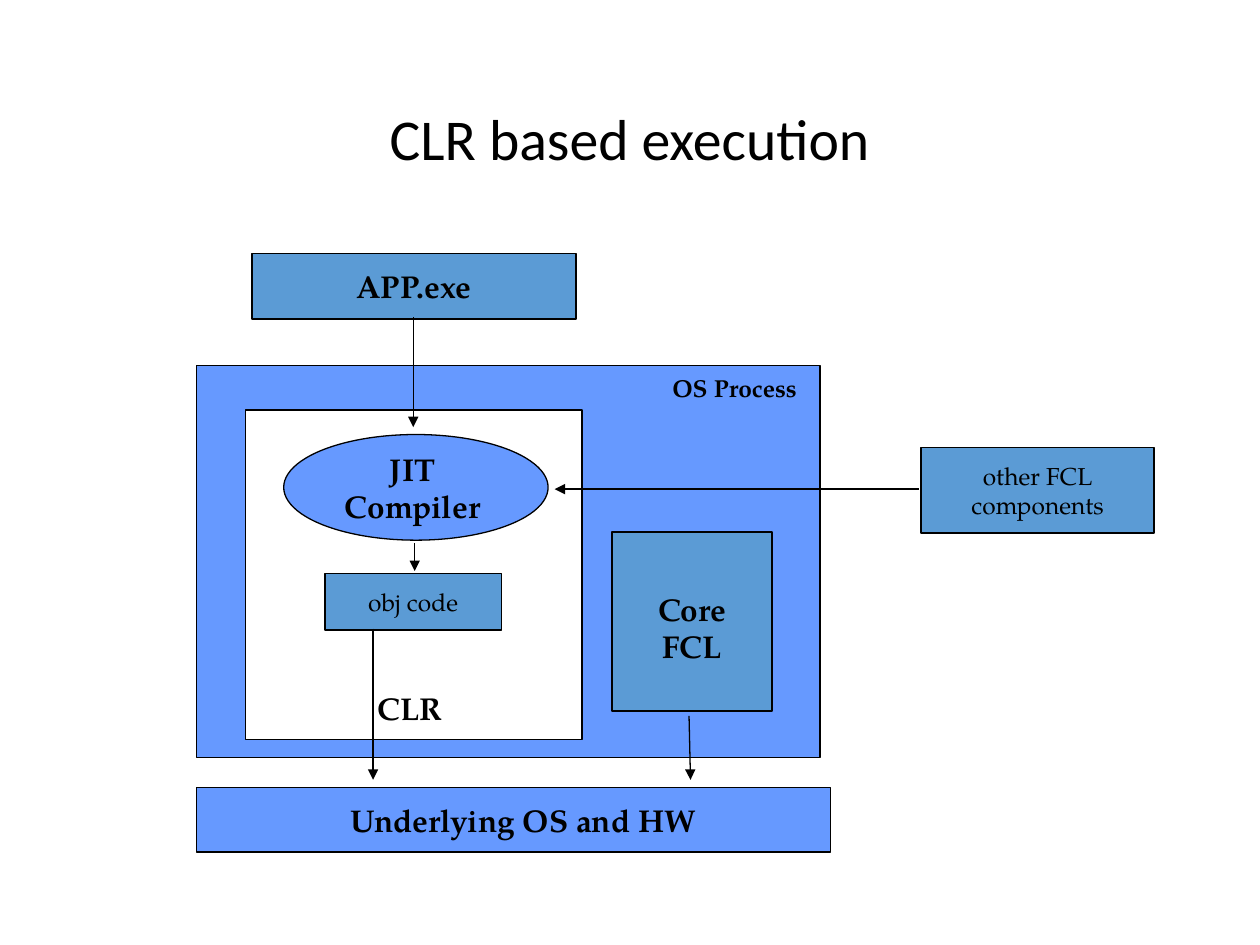
from lxml import etree
from pptx import Presentation
from pptx.dml.color import RGBColor
from pptx.enum.shapes import MSO_CONNECTOR, MSO_SHAPE
from pptx.enum.text import MSO_ANCHOR, PP_ALIGN
from pptx.oxml.ns import qn
from pptx.util import Cm, Pt

RECT, OVAL = MSO_SHAPE.RECTANGLE, MSO_SHAPE.OVAL
STRAIGHT = MSO_CONNECTOR.STRAIGHT
TOP, MIDDLE, BOTTOM = MSO_ANCHOR.TOP, MSO_ANCHOR.MIDDLE, MSO_ANCHOR.BOTTOM
CENTER, RIGHT = PP_ALIGN.CENTER, PP_ALIGN.RIGHT

THEME = {
    "ink": RGBColor(0, 0, 0),
    "host": RGBColor(0x66, 0x99, 0xFF),
    "part": RGBColor(0x5B, 0x9B, 0xD5),
    "paper": RGBColor(255, 255, 255),
    "head font": "Calibri",
    "body font": "TeX Gyre Pagella",
    "head": Pt(33),
    "large": Pt(18),
    "small": Pt(14),
    "thin": Pt(0.75),
    "edge": Pt(1),
}

TITLE = "CLR based execution"
TITLE_BOX = (1.75, 1.02, 21.89, 3.68)
PAD = (0.5, 0.25, 0.5, 0.25)

# text, form, box (left, top, width, height), fill, line, size, bold,
# alignment, anchor, insets (left, top, right, bottom); all in cm
BOXES = [
    ("OS Process", RECT, (3.96, 7.37, 12.57, 7.9), "host", "thin",
     "small", True, RIGHT, TOP, (0.25, 0.16, 0.46, 0.13)),
    ("APP.exe", RECT, (5.08, 5.11, 6.53, 1.32), "part", "edge",
     "large", True, CENTER, MIDDLE, PAD),
    ("other FCL components", RECT, (18.57, 9.02, 4.7, 1.73), "part", "edge",
     "small", False, CENTER, MIDDLE, PAD),
    ("CLR", RECT, (4.95, 8.26, 6.78, 6.65), "paper", "edge",
     "large", True, CENTER, BOTTOM, (0.5, 0.25, 0.66, 0.25)),
    ("JIT Compiler", OVAL, (5.72, 8.76, 5.33, 2.13), "host", "thin",
     "large", True, CENTER, MIDDLE, (0, 0, 0.13, 0)),
    ("obj code", RECT, (6.55, 11.56, 3.56, 1.14), "part", "edge",
     "small", False, CENTER, MIDDLE, PAD),
    ("Underlying OS and HW", RECT, (3.96, 15.88, 12.78, 1.3), "host", "thin",
     "large", True, CENTER, MIDDLE, (0.4, 0, 0, 0)),
    ("Core FCL", RECT, (12.34, 10.72, 3.23, 3.61), "part", "edge",
     "large", True, CENTER, MIDDLE, (0.5, 0.5, 0.5, 0.25)),
]

# start x, start y, end x, end y; the arrowhead is at the end
ARROWS = [
    (18.52, 9.86, 11.18, 9.86),
    (8.36, 10.95, 8.36, 11.51),
    (7.52, 12.67, 7.52, 15.72),
    (13.89, 14.43, 13.92, 15.72),
    (8.33, 6.4, 8.33, 8.61),
]


def style(para, face, size, bold, align):
    para.alignment = align
    font = para.font
    font.name, font.size, font.bold = THEME[face], THEME[size], bold
    font.color.rgb = THEME["ink"]


def add_title(slide):
    title = slide.shapes.title
    title.left, title.top, title.width, title.height = map(Cm, TITLE_BOX)
    frame = title.text_frame
    frame.text = TITLE
    frame.vertical_anchor = MIDDLE
    para = frame.paragraphs[0]
    para.line_spacing = 0.9
    style(para, "head font", "head", False, CENTER)


def add_box(slide, text, form, box, fill, line, size, bold, align, anchor, pad):
    shape = slide.shapes.add_shape(form, *map(Cm, box))
    shape.shadow.inherit = False
    shape.fill.solid()
    shape.fill.fore_color.rgb = THEME[fill]
    shape.line.color.rgb = THEME["ink"]
    shape.line.width = THEME[line]
    frame = shape.text_frame
    frame.word_wrap = True
    frame.vertical_anchor = anchor
    (frame.margin_left, frame.margin_top,
     frame.margin_right, frame.margin_bottom) = map(Cm, pad)
    frame.text = text
    style(frame.paragraphs[0], "body font", size, bold, align)


def add_arrow(slide, ends):
    arrow = slide.shapes.add_connector(STRAIGHT, *map(Cm, ends))
    arrow.line.color.rgb = THEME["ink"]
    arrow.line.width = THEME["thin"]
    props = arrow.element.spPr
    etree.SubElement(props.find(qn("a:ln")), qn("a:tailEnd"), type="triangle")
    etree.SubElement(props, qn("a:effectLst"))


def main():
    deck = Presentation()
    deck.slide_width, deck.slide_height = Cm(25.4), Cm(19.05)
    slide = deck.slides.add_slide(deck.slide_layouts.get_by_name("Title Only"))
    add_title(slide)
    for box in BOXES:
        add_box(slide, *box)
    for ends in ARROWS:
        add_arrow(slide, ends)
    deck.save("out.pptx")


if __name__ == "__main__":
    main()
